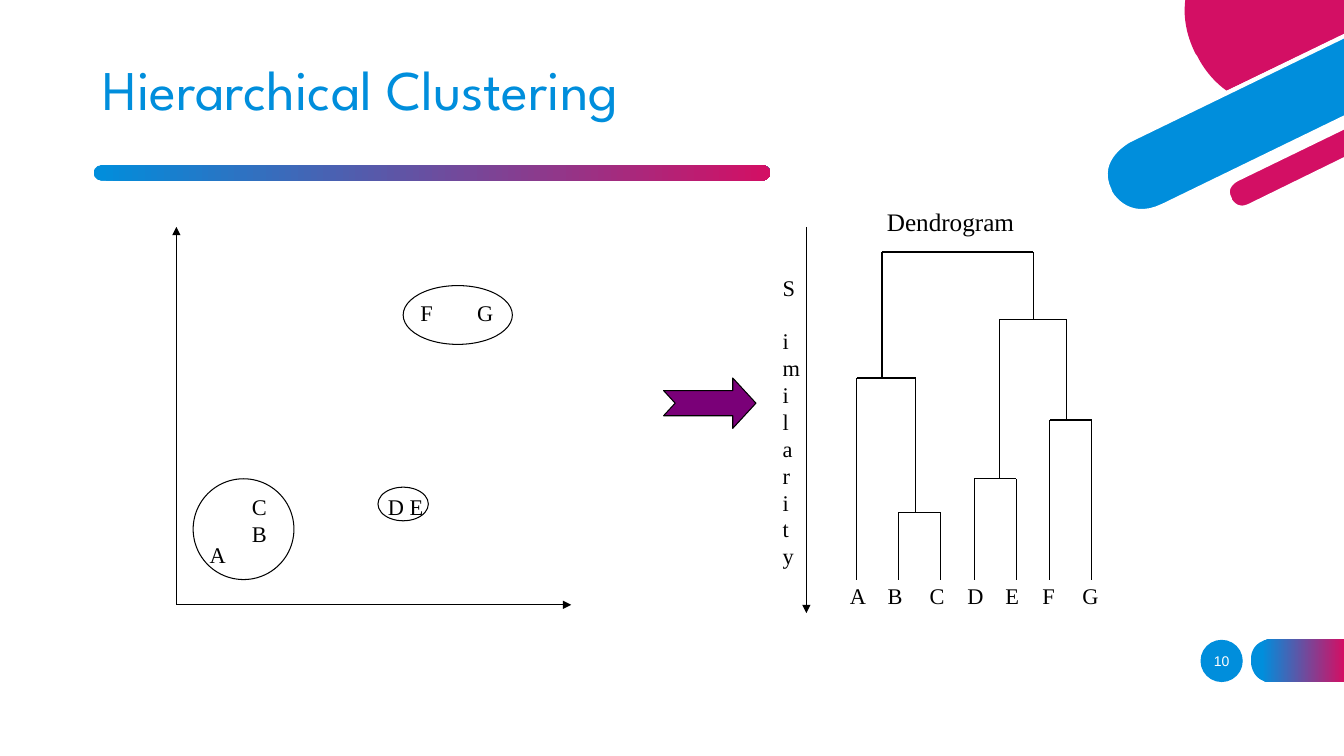
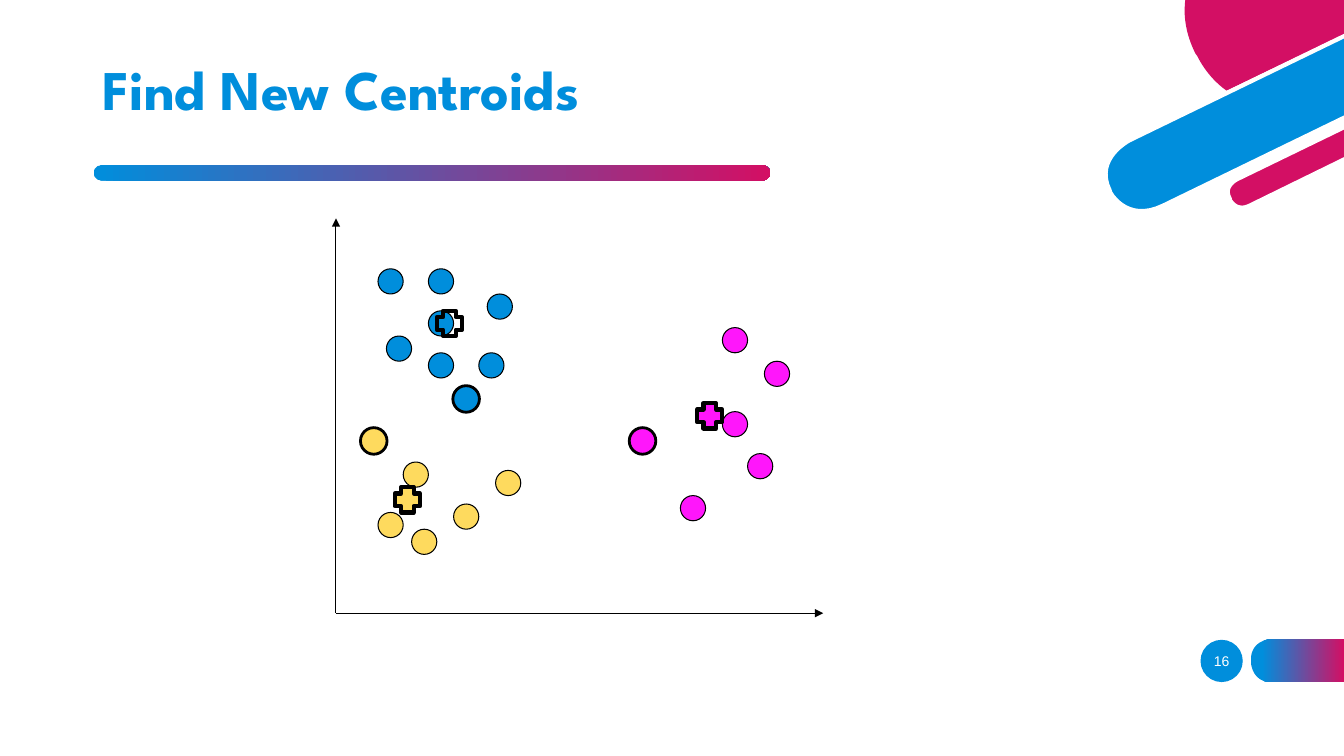
from lxml import etree
from pptx import Presentation
from pptx.dml.color import RGBColor
from pptx.enum import shapes as sh, text as tx
from pptx.oxml.ns import qn
from pptx.util import Pt

HUE = {"blue": "008EDC", "rose": "D30F64", "white": "FFFFFF", "black": "000000",
       "plum": "7A0078", "gold": "FEDA5E", "pink": "FF16FB"}
TITLE = {"name": "League Spartan", "size": Pt(40)}
NOTE = {"name": "Times New Roman", "size": Pt(16)}
HEAD = {**NOTE, "size": Pt(18)}
PAGE = {"name": "Arial", "size": Pt(10)}
KIND = sh.MSO_SHAPE
GRID = 6

DISC = [(855.4, 40.3), (855.4, 40.3, 861.8, 54.7, 876.2, 64.8), (960, 24.5), (960, 0),
        (846.7, 0), (845.3, 10.8, 846.7, 23.8, 853.9, 38.2)]
BAND = [(807.1, 100.1), (807.1, 100.1, 781.2, 113, 792.7, 136.1), (792.7, 136.8),
        (792.7, 136.8, 804.2, 159.8, 830.9, 146.9), (963, 82.7), (963, 24.4)]
STRIP = [(963, 89.5), (883.4, 128.2), (883.4, 128.2, 873.4, 133.2, 878.4, 141.8),
         (878.4, 142.6), (878.4, 142.6, 882.7, 151.9, 892.8, 146.9), (963, 112.5)]
TAB = [(908.6, 487.4), (960, 487.4), (960, 456.5), (908.6, 456.5),
       (908.6, 456.5, 893.5, 456.5, 893.5, 471.6), (893.5, 472.3),
       (893.5, 472.3, 893.5, 487.4, 908.6, 487.4)]
JOINS = [(90, 270, 120, 270, 222), (60, 270, 102, 222, 126), (144, 270, 174, 270, 198),
         (198, 270, 228, 270, 156), (162, 198, 210, 156, 84), (78, 126, 186, 84, 36)]
GROUPS = [
    ("gold", [(5, 35), (14, 34), (8, 29), (9, 37), (19, 30)], (3, 25), (7, 32), "gold"),
    ("pink", [(41, 33), (49, 28), (46, 23), (51, 17), (46, 13)], (35, 25), (43, 22), "pink"),
    ("blue", [(11, 11), (5, 6), (6, 14), (18, 9), (11, 16), (17, 16), (11, 6)],
     (14, 20), (12, 11), None),
]


def rgb(hue):
    """Return the colour of a named hue."""
    return RGBColor.from_string(HUE[hue])


def paint(shape, fill=None, line=None, width=0.75):
    """Set the fill and line of a shape and drop its shadow."""
    shape.shadow.inherit = False
    if fill:
        shape.fill.solid()
        shape.fill.fore_color.rgb = rgb(fill)
    else:
        shape.fill.background()
    if line:
        shape.line.color.rgb = rgb(line)
        shape.line.width = Pt(width)
    else:
        shape.line.fill.background()
    return shape


def blend(shape, start=0):
    """Fill a shape with the blue to rose blend."""
    shape.fill.gradient()
    shape.fill.gradient_angle = 0
    for stop, hue, spot in zip(shape.fill.gradient_stops, ("blue", "rose"), (start, 1)):
        stop.color.rgb = rgb(hue)
        stop.position = spot


def form(slide, kind, box, *look, bends=()):
    """Add a painted preset shape."""
    shape = slide.shapes.add_shape(kind, *map(Pt, box))
    for i, bend in enumerate(bends):
        shape.adjustments[i] = bend
    return paint(shape, *look)


def trace(parts, steps=16):
    """Turn lines and cubic curves into a list of points."""
    dots = []
    for part in parts:
        if len(part) == 2:
            dots.append(part)
            continue
        ends = [dots[-1], part[:2], part[2:4], part[4:]]
        for i in range(1, steps + 1):
            t = i / steps
            mix = ((1 - t) ** 3, 3 * t * (1 - t) ** 2, 3 * t * t * (1 - t), t ** 3)
            dots.append(tuple(sum(m * e[k] for m, e in zip(mix, ends)) for k in (0, 1)))
    return [(Pt(x), Pt(y)) for x, y in dots]


def blob(slide, parts, *look):
    """Add a painted free outline."""
    dots = trace(parts)
    pen = slide.shapes.build_freeform(*dots[0])
    pen.add_line_segments(dots[1:], close=True)
    return paint(pen.convert_to_shape(), *look)


def rule(slide, x1, y1, x2, y2, tip=False):
    """Add a thin black line, with an arrow tip if asked."""
    line = slide.shapes.add_connector(sh.MSO_CONNECTOR.STRAIGHT, *map(Pt, (x1, y1, x2, y2)))
    line.line.color.rgb = rgb("black")
    line.line.width = Pt(0.75)
    prop = line.element.spPr
    if tip:
        etree.SubElement(prop.find(qn("a:ln")), qn("a:tailEnd"), type="triangle")
    etree.SubElement(prop, qn("a:effectLst"))


def style(frame, look, hue, **para):
    """Format every paragraph and run of a text frame."""
    for line in frame.paragraphs:
        for key, val in para.items():
            setattr(line, key, val)
        for run in line.runs:
            for key, val in look.items():
                setattr(run.font, key, val)
            run.font.color.rgb = rgb(hue)


def label(slide, words, box, look=NOTE, hue="black", stops=(), **para):
    """Add a text box, with tab stops if given."""
    frame = slide.shapes.add_textbox(*map(Pt, box)).text_frame
    frame.word_wrap = True
    frame.text = words
    if stops:
        tabs = etree.SubElement(frame.paragraphs[0]._p.get_or_add_pPr(), qn("a:tabLst"))
        for stop in stops:
            etree.SubElement(tabs, qn("a:tab"), pos=str(Pt(stop)), algn="l")
    style(frame, look, hue, **para)
    return frame


def decor(slide, layout):
    """Draw the shared art and move it to the layout."""
    for spot in list(layout.placeholders):
        if spot.placeholder_format.idx:
            spot.element.getparent().remove(spot.element)
    tab = blob(slide, TAB)
    blend(tab, 0.12)
    bar = form(slide, KIND.ROUNDED_RECTANGLE, (66.8, 118, 483.4, 11), bends=[0.5])
    blend(bar)
    art = [tab, bar, form(slide, KIND.OVAL, (857.5, 457, 30.2, 30.2), "blue"),
           blob(slide, DISC, "rose"), blob(slide, BAND, "blue", "white", 3),
           blob(slide, STRIP, "rose", "white", 3)]
    for shape in art:
        layout.shapes.element.append(shape.element)


def frame(slide, words, page, bold=False):
    """Fill the title and the page number."""
    title = slide.shapes.title
    for key, val in zip(("left", "top", "width", "height"), (66.2, 28.8, 712.8, 74.2)):
        setattr(title, key, Pt(val))
    body = title.text_frame
    body.text = words
    body.auto_size = tx.MSO_AUTO_SIZE.NONE
    body.vertical_anchor = tx.MSO_ANCHOR.MIDDLE
    style(body, {**TITLE, "bold": bold}, "blue", alignment=tx.PP_ALIGN.LEFT, line_spacing=0.9)
    note = label(slide, page, (851, 458, 43.2, 28.8), PAGE, "white",
                 alignment=tx.PP_ALIGN.CENTER)
    note.vertical_anchor = tx.MSO_ANCHOR.MIDDLE


def axes(slide, x, y, w, h):
    """Draw both axes along the left and lower edge of a box."""
    rule(slide, x, y + h, x, y, True)
    rule(slide, x, y + h, x + w, y + h, True)


def rings(slide, x, y, w, h):
    """Draw the plane with the ringed letters."""
    axes(slide, x, y, w, h)
    for words, dx, dy, wide, high, stops in [
            ("A", 16.6, 221, 30, 27, ()), ("C\nB", 46.8, 186.5, 30, 46, ()),
            ("D E", 144, 186.5, 44, 27, ()), ("F\tG", 167.2, 48.2, 72, 27, [40.5])]:
        label(slide, words, (x + dx, y + dy, wide, high), stops=stops)
    for dx, dy, wide, high in [(12, 180, 72, 72), (162, 42, 78, 42), (144, 186, 36, 24)]:
        form(slide, KIND.OVAL, (x + dx, y + dy, wide, high), None, "black")


def tree(slide, x, y):
    """Draw the dendrogram with its scale and leaves."""
    rule(slide, x + 24, y + 18, x + 24, y + 294, True)
    for left, low, right, base, top in JOINS:
        rule(slide, x + left, y + low, x + left, y + top)
        rule(slide, x + right, y + base, x + right, y + top)
        rule(slide, x + left, y + top, x + right, y + top)
    label(slide, "A\tB\tC\tD\tE\tF\tG", (x + 48, y + 268, 210, 27),
          stops=[27, 57, 84, 111, 137.5, 166])
    label(slide, "Dendrogram", (x + 74.4, y, 112, 29), HEAD)
    label(slide, "S imilarity", (x, y + 48, 18, 201))


def cloud(slide, x, y, w, h):
    """Draw the plane with points, seeds and new centroids."""
    axes(slide, x, y, w, h)

    def mark(kind, spot, size, *look, bends=()):
        """Place one mark centred in its grid cell."""
        gap = (18 - size) / 2
        form(slide, kind, (x + GRID * spot[0] + gap, y + GRID * spot[1] + gap, size, size),
             *look, bends=bends)

    for hue, dots, seed, mid, fill in GROUPS:
        for dot in dots:
            mark(KIND.OVAL, dot, 18, hue, "black")
        mark(KIND.OVAL, seed, 19, hue, "black", 2)
        mark(KIND.CROSS, mid, 18, fill, "black", 3, bends=[0.25])


def main():
    """Build and save both slides."""
    deck = Presentation()
    deck.slide_width, deck.slide_height = Pt(960), Pt(540)
    layout = deck.slide_layouts[5]
    first = deck.slides.add_slide(layout)
    decor(first, layout)
    frame(first, "Hierarchical Clustering", "10")
    rings(first, 126, 162, 282, 270)
    form(first, KIND.NOTCHED_RIGHT_ARROW, (474, 270, 66, 36), "plum", "black",
         bends=[0.5, 0.46])
    tree(first, 552, 144)
    second = deck.slides.add_slide(layout)
    frame(second, "Find New Centroids", "16", True)
    cloud(second, 240, 156, 348, 282)
    deck.save("out.pptx")


if __name__ == "__main__":
    main()
